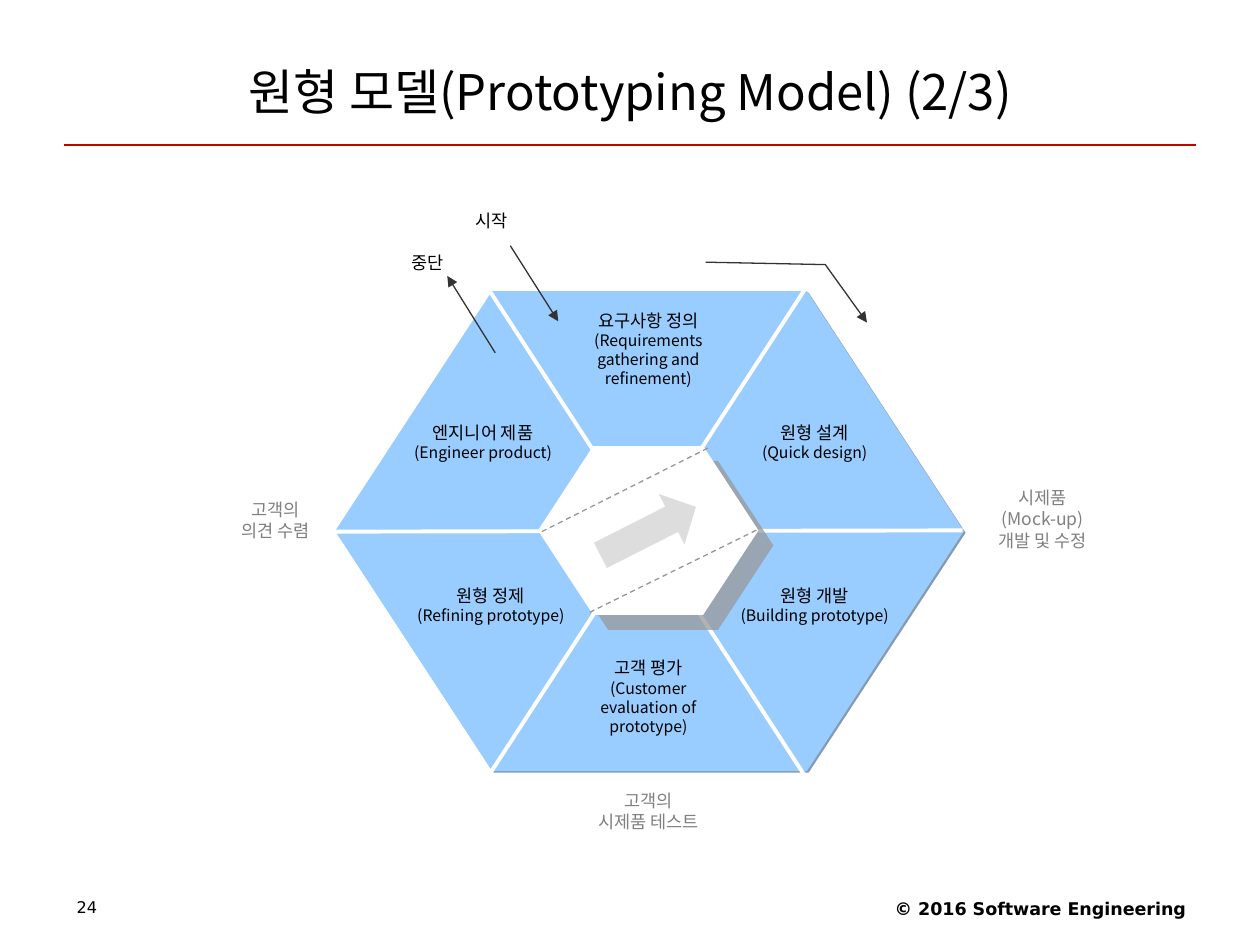
from lxml.etree import SubElement
from pptx import Presentation
from pptx.dml.color import RGBColor
from pptx.enum.dml import MSO_LINE
from pptx.enum.shapes import MSO_CONNECTOR, MSO_SHAPE
from pptx.enum.text import MSO_ANCHOR, PP_ALIGN
from pptx.oxml.ns import qn
from pptx.util import Pt

KOREAN, LATIN = "Noto Sans CJK KR", "DejaVu Sans"
COLORS = {
    "text": "000000", "note": "808080", "rule": "C40000", "hexagon": "99CCFF",
    "hexagon shadow": "5C7A99", "centre": "FFFFFF", "centre shadow": "999999",
    "arrow": "333333", "dash": "969696", "block arrow": "DDDDDD",
}

TITLE = "원형 모델(Prototyping Model) (2/3)"
COPYRIGHT = "© 2016 Software Engineering"
PAGE_NUMBER = "24"

# Centre x, top, height, paragraphs; \v is a line break
STEPS = [
    (370.5, 173.5, 52, ["요구사항 정의", "(Requirements\vgathering and refinement)"]),
    (465.5, 237.6, 30, ["원형 설계", "(Quick design)"]),
    (465.5, 330.5, 30, ["원형 개발", "(Building prototype)"]),
    (370.5, 372.2, 52, ["고객 평가", "(Customer\vevaluation of", "prototype)"]),
    (280.5, 330.5, 30, ["원형 정제", "(Refining prototype)"]),
    (276, 237.6, 30, ["엔지니어 제품", "(Engineer product)"]),
]
NOTES = [
    (595.8, 275, 43, ["시제품", "(Mock-up)", "개발 및 수정"]),
    (157.3, 281.5, 32, ["고객의", "의견 수렴"]),
    (370.5, 447.8, 32, ["고객의", "시제품 테스트"]),
]
ENTRY_LABELS = [(280.8, 116.6, 19.5, ["시작"]), (244.1, 140.4, 19.5, ["중단"])]
LABEL_WIDTH, ENTRY_WIDTH = 116, 36

# Left, top, width, height, fill, shadow distance
HEXAGONS = [
    (191.5, 166.3, 359.3, 274.3, "hexagon", 1.4),
    (307.4, 254.9, 126, 96.5, "centre", 12.1),
]
# Each line is x1, y1, x2, y2
SPOKES = [
    (550.1, 303.1, 191.5, 303.8),
    (268.6, 149, 468, 455.8),
    (267.8, 460.8, 468.7, 151.9),
]
ENTRY_ARROWS = [(291.6, 140.4, 319, 183.6), (283, 201.6, 255.6, 157.7)]
DASHES = [(337, 349.9, 433.4, 302.4), (309.6, 303.8, 405.4, 255.6)]
CYCLE_ARROW = [(403.2, 149.8), (471.6, 151.2), (495.4, 184.3)]


def rgb(name):
    return RGBColor.from_string(COLORS[name])


def style(para, size, color="text", font=KOREAN, align=PP_ALIGN.CENTER):
    para.alignment = align
    para.font.size = Pt(size)
    para.font.name = font
    para.font.color.rgb = rgb(color)
    defaults = para._p.pPr.find(qn("a:defRPr"))
    SubElement(defaults, qn("a:ea"), typeface=font)


def add_text(slide, left, top, width, height, lines):
    box = slide.shapes.add_textbox(Pt(left), Pt(top), Pt(width), Pt(height))
    frame = box.text_frame
    frame.word_wrap = True
    for index, line in enumerate(lines):
        para = frame.paragraphs[0] if index == 0 else frame.add_paragraph()
        para.text = line
    return frame.paragraphs


def add_labels(slide, labels, width, color="text", detail_size=10):
    """Place centred labels; paragraphs after the first use detail_size."""
    for centre, top, height, lines in labels:
        paras = add_text(slide, centre - width / 2, top, width, height, lines)
        for index, para in enumerate(paras):
            style(para, detail_size if index else 10, color)


def set_line(shape, color, weight, arrow=False):
    shape.line.color.rgb = rgb(color)
    shape.line.width = Pt(weight)
    if arrow:
        outline = shape._element.spPr.find(qn("a:ln"))
        SubElement(outline, qn("a:tailEnd"), type="triangle")


def add_line(slide, ends, color, weight, arrow=False):
    line = slide.shapes.add_connector(MSO_CONNECTOR.STRAIGHT, *map(Pt, ends))
    set_line(line, color, weight, arrow)
    SubElement(line._element.spPr, qn("a:effectLst"))
    return line


def add_filled(slide, kind, bounds, color):
    shape = slide.shapes.add_shape(kind, *map(Pt, bounds))
    shape.fill.solid()
    shape.fill.fore_color.rgb = rgb(color)
    shape.line.fill.background()
    shape.shadow.inherit = False
    return shape


def add_shadow(shape, color, distance):
    effects = shape._element.spPr.find(qn("a:effectLst"))
    shadow = SubElement(effects, qn("a:outerShdw"), blurRad="0", dist=str(Pt(distance)),
                        dir="2700000", algn="ctr", rotWithShape="0")
    tint = SubElement(shadow, qn("a:srgbClr"), val=COLORS[color])
    SubElement(tint, qn("a:alpha"), val="75000")


def add_frame(slide):
    """Add the title, the rule under it and the footer."""
    title = slide.shapes.title
    title.left, title.top, title.width, title.height = map(Pt, (36, 21.6, 648, 61.2))
    title.text_frame.text = TITLE
    title.text_frame.vertical_anchor = MSO_ANCHOR.MIDDLE
    style(title.text_frame.paragraphs[0], 28)
    add_line(slide, (36.7, 82.8, 683.3, 82.8), "rule", 0.75)

    owner = add_text(slide, 456.5, 509.8, 228.2, 20.9, [COPYRIGHT])[0]
    style(owner, 10, font=LATIN, align=PP_ALIGN.RIGHT)
    owner.font.bold = True
    number = add_text(slide, 36.7, 510.5, 167.8, 20.2, [PAGE_NUMBER])[0]
    number.line_spacing = 0.9
    style(number, 9.2, font=LATIN, align=PP_ALIGN.LEFT)


def add_hexagon(slide, left, top, width, height, color, distance):
    hexagon = add_filled(slide, MSO_SHAPE.HEXAGON, (left, top, width, height), color)
    hexagon.adjustments[0] = 0.327
    add_shadow(hexagon, f"{color} shadow", distance)


def add_cycle(slide):
    outer, centre = HEXAGONS
    add_hexagon(slide, *outer)
    for ends in SPOKES:
        add_line(slide, ends, "centre", 2.25)
    add_hexagon(slide, *centre)

    points = [(Pt(x), Pt(y)) for x, y in CYCLE_ARROW]
    builder = slide.shapes.build_freeform(*points[0])
    builder.add_line_segments(points[1:], close=False)
    bend = builder.convert_to_shape()
    bend.fill.background()
    set_line(bend, "arrow", 0.75, arrow=True)
    bend.shadow.inherit = False
    for ends in ENTRY_ARROWS:
        add_line(slide, ends, "arrow", 0.75, arrow=True)

    add_labels(slide, STEPS, LABEL_WIDTH, detail_size=9)
    add_labels(slide, ENTRY_LABELS, ENTRY_WIDTH)
    add_labels(slide, NOTES, LABEL_WIDTH, "note")

    block = add_filled(slide, MSO_SHAPE.RIGHT_ARROW, (339.8, 287.3, 61.2, 32.4), "block arrow")
    block.adjustments[1] = 0.48
    block.rotation = 333.1
    for ends in DASHES:
        add_line(slide, ends, "dash", 0.75).line.dash_style = MSO_LINE.DASH


def main():
    deck = Presentation()
    deck.slide_width, deck.slide_height = Pt(720), Pt(540)
    slide = deck.slides.add_slide(deck.slide_layouts[5])
    add_frame(slide)
    add_cycle(slide)
    deck.save("out.pptx")


if __name__ == "__main__":
    main()
